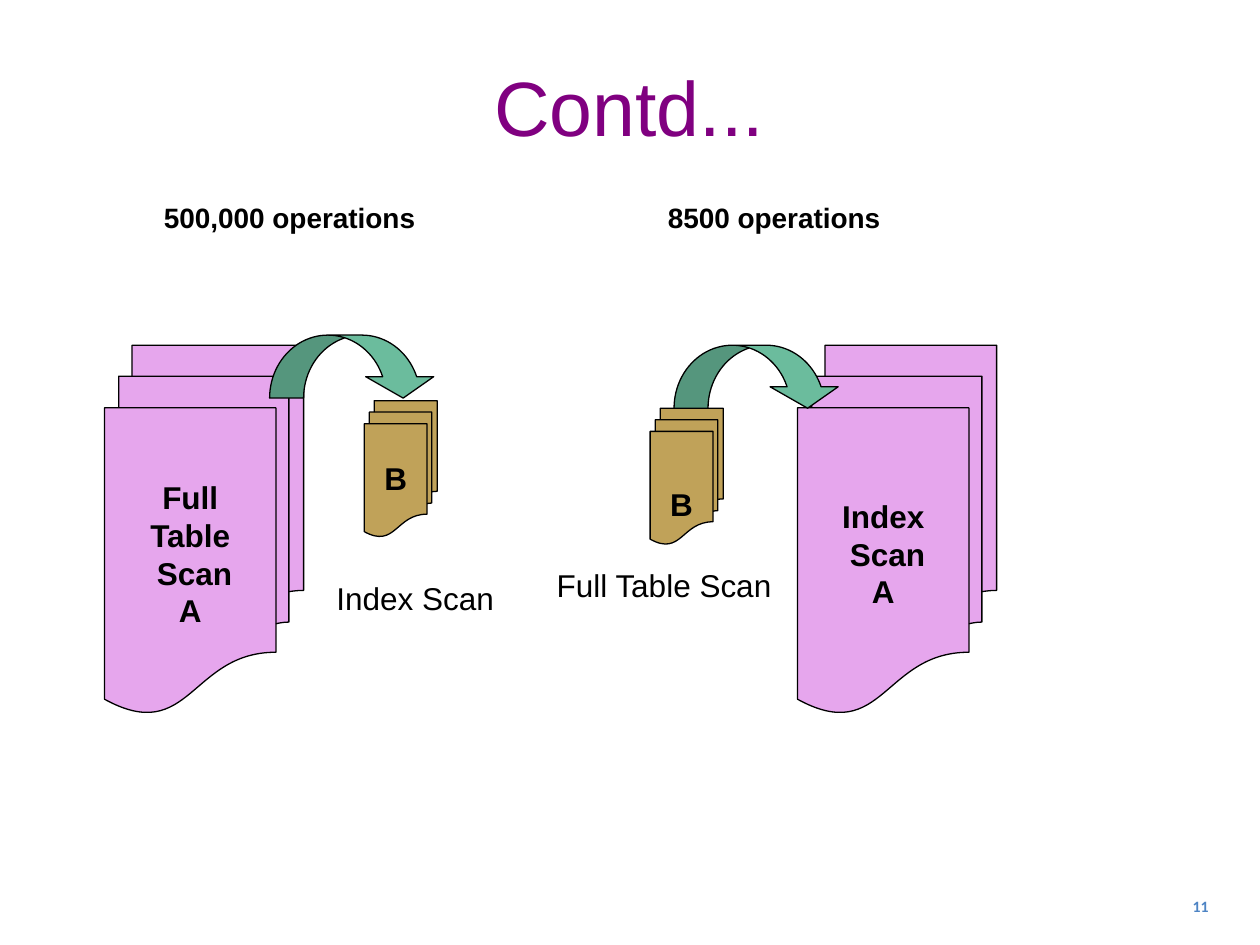
from pptx import Presentation
from pptx.dml.color import RGBColor
from pptx.enum.shapes import MSO_SHAPE as Shape
from pptx.enum.text import MSO_ANCHOR as Anchor, MSO_AUTO_SIZE as AutoSize, PP_ALIGN as Align
from pptx.oxml.ns import qn
from pptx.util import Inches, Pt
from lxml.etree import SubElement

PURPLE = RGBColor(0x80, 0x00, 0x80)
BLACK = RGBColor(0x00, 0x00, 0x00)
BLUE = RGBColor(0x4E, 0x84, 0xC4)
PINK = RGBColor(0xE6, 0xA6, 0xED)
GOLD = RGBColor(0xC0, 0xA2, 0x59)
GREEN = RGBColor(0x6B, 0xBC, 0x9D)
LARGE_TABLE = (1.58, 2.92)
SMALL_TABLE = (0.58, 1.08)
ARROW = (1.33, 0.5)


def place(shape, left, top, width, height):
    """Move and size a shape, in inches."""
    shape.left, shape.top = Inches(left), Inches(top)
    shape.width, shape.height = Inches(width), Inches(height)


def write(shape, text, size=18, color=BLACK, bold=False, font="Arial",
          align=Align.CENTER, anchor=Anchor.TOP, wrap=True):
    """Fill a shape with formatted text, one paragraph per line."""
    frame = shape.text_frame
    frame.text = text
    frame.auto_size = AutoSize.NONE
    frame.word_wrap = wrap
    frame.vertical_anchor = anchor
    for paragraph in frame.paragraphs:
        paragraph.alignment = align
        paragraph.space_before = Pt(0)
        for run in paragraph.runs:
            run.font.name, run.font.size = font, Pt(size)
            run.font.bold, run.font.color.rgb = bold, color


def add_label(slide, box, text, **formatting):
    """Add a text box."""
    write(slide.shapes.add_textbox(*map(Inches, box)), text, **formatting)


def add_outlined(slide, kind, box, color):
    """Add a filled preset shape with a thin black outline."""
    shape = slide.shapes.add_shape(kind, *map(Inches, box))
    shape.shadow.inherit = False
    shape.fill.solid()
    shape.fill.fore_color.rgb = color
    shape.line.color.rgb = BLACK
    shape.line.width = Pt(0.75)
    return shape


def add_table_stack(slide, box, text, color, lowered=0):
    """Add a document stack that stands for a database table."""
    stack = add_outlined(slide, Shape.FLOWCHART_MULTIDOCUMENT, box, color)
    write(stack, text, bold=True, anchor=Anchor.MIDDLE, wrap=False)
    stack.text_frame.margin_top = Inches(0.05 + lowered)


def add_join_arrow(slide, box):
    """Add the curved arrow from the outer table to the inner table."""
    arrow = add_outlined(slide, Shape.CURVED_DOWN_ARROW, box, GREEN)
    for index, value in enumerate((0.54, 1.08, 0.34)):
        arrow.adjustments[index] = value


def set_operation_count(body, box, text):
    """Set the operation count of one join order, without a bullet."""
    place(body, *box)
    write(body, text, size=16, bold=True, align=Align.LEFT)
    properties = body.text_frame.paragraphs[0]._p.get_or_add_pPr()
    properties.set("marL", "0")
    properties.set("indent", "0")
    SubElement(properties, qn("a:buNone"))


def add_large_to_small(slide, left, top):
    """Draw the full scan of table A that drives an index scan of B."""
    add_table_stack(slide, (left, top + 0.08, *LARGE_TABLE), "Full\nTable\n Scan\nA", PINK)
    add_join_arrow(slide, (left + 1.31, top, *ARROW))
    add_table_stack(slide, (left + 2.06, top + 0.52, *SMALL_TABLE), "B", GOLD)
    add_label(slide, (left + 1.71, top + 1.89, 1.51, 0.4), "Index Scan")


def add_small_to_large(slide, left, top):
    """Draw the full scan of table B that drives an index scan of A."""
    add_table_stack(slide, (left + 2.05, top, *LARGE_TABLE), "Index\n Scan\nA", PINK)
    add_table_stack(slide, (left + 0.88, top + 0.5, *SMALL_TABLE), "B", GOLD, lowered=0.3)
    add_join_arrow(slide, (left + 1.07, top, *ARROW))
    add_label(slide, (left, top + 1.7, 1.98, 0.4), "Full Table Scan")


def main():
    """Build and save the slide."""
    presentation = Presentation()
    presentation.slide_width, presentation.slide_height = Inches(10), Inches(7.5)
    slide = presentation.slides.add_slide(presentation.slide_layouts[3])
    title, left_body, right_body = slide.placeholders
    place(title, 0.33, 0.42, 9.33, 0.84)
    write(title, "Contd...", size=44, color=PURPLE)
    set_operation_count(left_body, (1.2, 1.54, 3.85, 0.4), "500,000 operations")
    set_operation_count(right_body, (5.2, 1.54, 3.85, 0.4), "8500 operations")
    add_large_to_small(slide, 0.83, 2.66)
    add_small_to_large(slide, 4.28, 2.74)
    add_label(slide, (9.27, 7.07, 0.42, 0.29), "11", size=9, color=BLUE,
              bold=True, font="Calibri", align=Align.RIGHT)
    presentation.save("out.pptx")


if __name__ == "__main__":
    main()
